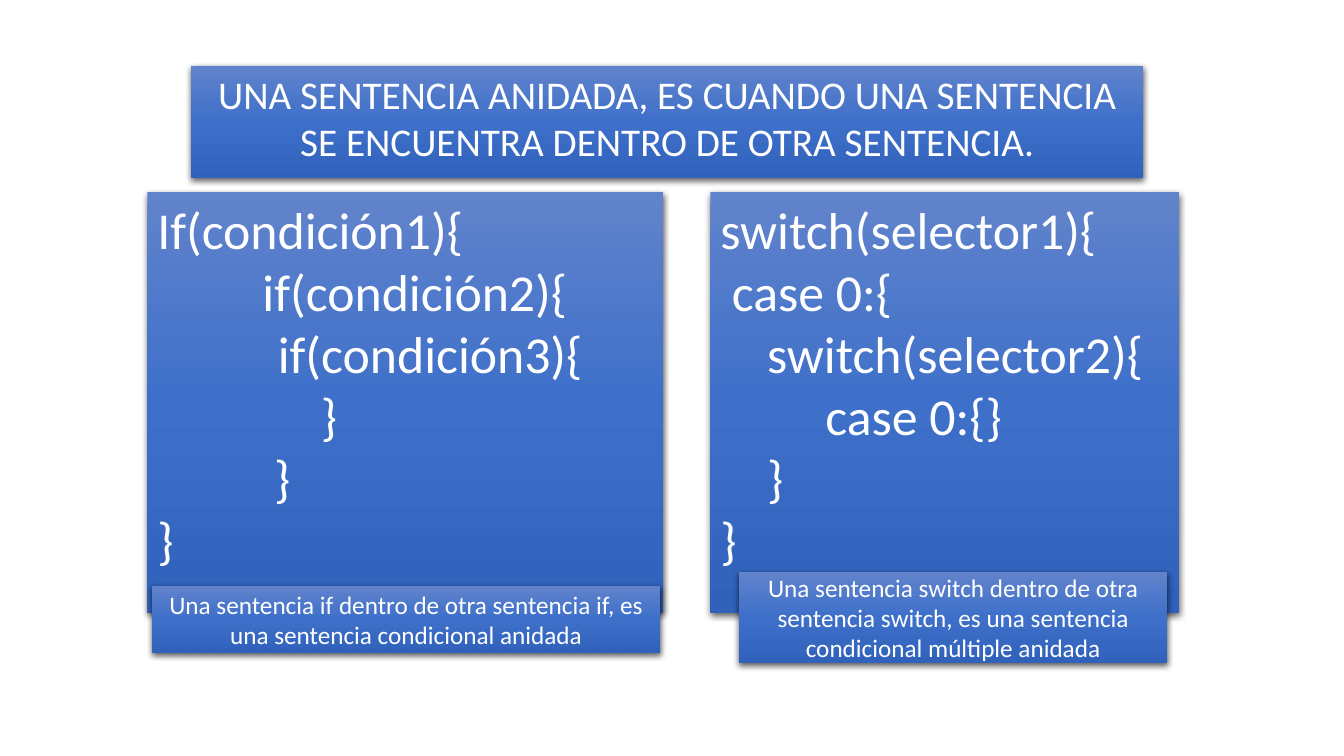
from pptx import Presentation
from pptx.dml.color import RGBColor
from pptx.enum.shapes import MSO_SHAPE
from pptx.enum.text import MSO_ANCHOR, PP_ALIGN
from pptx.oxml import parse_xml
from pptx.oxml.ns import nsdecls
from pptx.util import Pt

RECT = MSO_SHAPE.RECTANGLE
TOP, MIDDLE = MSO_ANCHOR.TOP, MSO_ANCHOR.MIDDLE
LEFT, CENTER = PP_ALIGN.LEFT, PP_ALIGN.CENTER

WHITE = RGBColor(0xFF, 0xFF, 0xFF)
BLACK = RGBColor(0x00, 0x00, 0x00)
STOPS = [
    (0, RGBColor(0x61, 0x83, 0xCB)),
    (50, RGBColor(0x3E, 0x70, 0xCA)),
    (100, RGBColor(0x30, 0x62, 0xBB)),
]

TITLE = ["UNA SENTENCIA ANIDADA, ES CUANDO UNA SENTENCIA "
         "SE ENCUENTRA DENTRO DE OTRA SENTENCIA."]
IF_CODE = [
    "If(condición1){",
    "         if(condición2){",
    "\t      if(condición3){",
    "              }",
    "          }",
    "}",
]
SWITCH_CODE = [
    "switch(selector1){",
    " case 0:{",
    "    switch(selector2){",
    "         case 0:{}",
    "    }",
    "}",
]
IF_NOTE = ["Una sentencia if dentro de otra sentencia if, es "
           "una sentencia condicional anidada"]
SWITCH_NOTE = ["Una sentencia switch dentro de otra sentencia switch, "
               "es una sentencia condicional múltiple anidada"]

# style: size, alignment, anchor
HEAD = (28, CENTER, TOP)
CODE = (37, LEFT, TOP)
NOTE = (18, CENTER, MIDDLE)

CODE_TOP, CODE_HIGH = 137.5, 300.3

# lines, style, (left, top, width, height)
BOXES = [
    (TITLE, HEAD, (136.2, 47, 680.4, 80)),
    (IF_CODE, CODE, (105.3, CODE_TOP, 368.5, CODE_HIGH)),
    (SWITCH_CODE, CODE, (507.4, CODE_TOP, 334.8, CODE_HIGH)),
    (IF_NOTE, NOTE, (108.6, 418.3, 363, 48.2)),
    (SWITCH_NOTE, NOTE, (527.8, 408.3, 306, 65.5)),
]


def shade(shape):
    """Give the shape a downward gradient, no line and a soft shadow."""
    stops = "".join(
        f'<a:gs pos="{pos * 1000}"><a:srgbClr val="{color}"/></a:gs>'
        for pos, color in STOPS)
    grad = parse_xml(
        f'<a:gradFill {nsdecls("a")} rotWithShape="1"><a:gsLst>{stops}</a:gsLst>'
        '<a:lin ang="5400000" scaled="0"/></a:gradFill>')
    glow = parse_xml(
        f'<a:effectLst {nsdecls("a")}><a:outerShdw blurRad="{Pt(4.5)}" '
        f'dist="{Pt(1.5)}" dir="5400000" algn="ctr" rotWithShape="0">'
        f'<a:srgbClr val="{BLACK}"><a:alpha val="63000"/></a:srgbClr>'
        '</a:outerShdw></a:effectLst>')
    shape.line.fill.background()
    props = shape._element.spPr
    props.insert(2, grad)
    props.append(glow)


def add_box(slide, lines, style, place):
    size, align, anchor = style
    shape = slide.shapes.add_shape(RECT, *map(Pt, place))
    shade(shape)
    frame = shape.text_frame
    frame.word_wrap = True
    frame.vertical_anchor = anchor
    frame.text = "\n".join(lines)
    for para in frame.paragraphs:
        para.alignment = align
        para.font.name = "Calibri"
        para.font.size = Pt(size)
        para.font.color.rgb = WHITE


def main():
    deck = Presentation()
    deck.slide_width, deck.slide_height = Pt(960), Pt(540)
    slide = deck.slides.add_slide(deck.slide_layouts[6])
    for lines, style, place in BOXES:
        add_box(slide, lines, style, place)
    deck.save("out.pptx")


if __name__ == "__main__":
    main()
